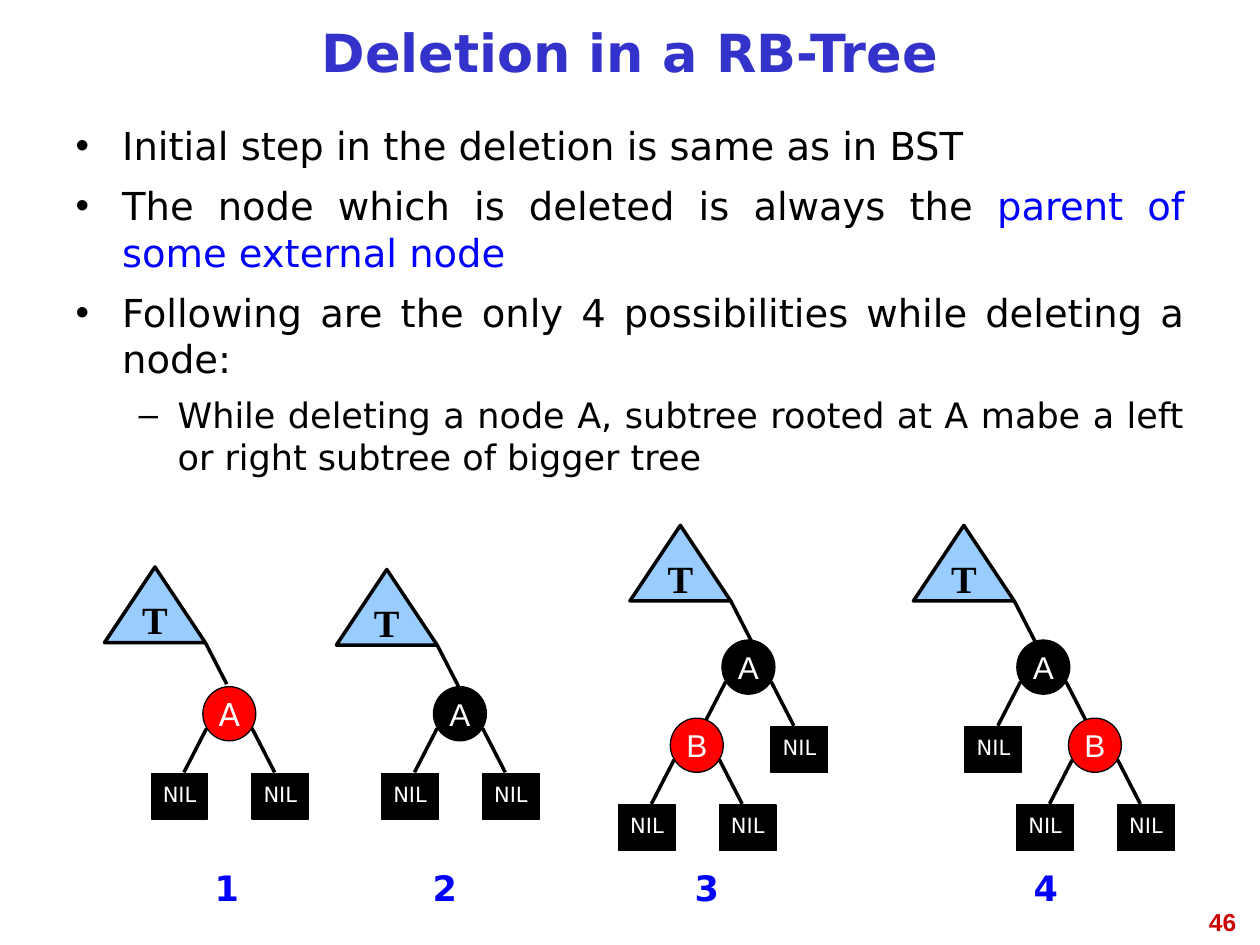
from lxml.etree import SubElement
from pptx import Presentation
from pptx.dml.color import RGBColor
from pptx.enum.shapes import MSO_CONNECTOR, MSO_SHAPE
from pptx.enum.text import MSO_ANCHOR, MSO_AUTO_SIZE, PP_ALIGN
from pptx.oxml.ns import qn
from pptx.util import Inches, Pt

SANS, BLACK, WHITE, RED, BLUE = "DejaVu Sans", "000000", "FFFFFF", "FF0000", "0000FF"
NODE_W, NODE_H = 0.42, 0.43
LEFT, RIGHT = -1, 1


def color(hex_code):
    """Turn a hex string into a colour."""
    return RGBColor.from_string(hex_code)


def add_run(paragraph, text, size, hex_code, face=SANS, bold=False):
    """Append one formatted run to a paragraph."""
    run = paragraph.add_run()
    run.text = text
    run.font.size = Pt(size)
    run.font.name = face
    run.font.bold = bold
    run.font.color.rgb = color(hex_code)


def place(holder, left, top, width, height):
    """Move and size a placeholder."""
    holder.left, holder.top = Inches(left), Inches(top)
    holder.width, holder.height = Inches(width), Inches(height)


def add_title(slide, text):
    """Fill the title placeholder."""
    title = slide.shapes.title
    place(title, 0.5, 0.08, 9, 0.75)
    title.text_frame.auto_size = MSO_AUTO_SIZE.NONE
    title.text_frame.vertical_anchor = MSO_ANCHOR.MIDDLE
    heading = title.text_frame.paragraphs[0]
    heading.alignment = PP_ALIGN.CENTER
    heading.line_spacing = 0.81
    add_run(heading, text, 30, "3333CC", bold=True)


def set_bullet(paragraph, char, margin, hanging):
    """Give a paragraph a black bullet and a hanging indent."""
    props = paragraph._p.get_or_add_pPr()
    props.set("marL", str(Inches(margin)))
    props.set("indent", str(-Inches(hanging)))
    bullet_color = SubElement(props, qn("a:buClr"))
    SubElement(bullet_color, qn("a:srgbClr")).set("val", BLACK)
    SubElement(props, qn("a:buChar")).set("char", char)


def add_points(slide, points):
    """Fill the body placeholder with (level, runs) points."""
    body = slide.placeholders[1]
    place(body, 0.5, 0.92, 9, 5.83)
    frame = body.text_frame
    frame.auto_size = MSO_AUTO_SIZE.NONE
    styles = [("•", 0.37, 0.37, 22, 8), ("–", 0.81, 0.31, 20, 7)]
    for index, (level, runs) in enumerate(points):
        char, margin, hanging, size, gap = styles[level]
        point = frame.add_paragraph() if index else frame.paragraphs[0]
        point.level = level
        point.alignment = PP_ALIGN.JUSTIFY
        point.space_before = Pt(gap if index else 0)
        set_bullet(point, char, margin, hanging)
        for text, hex_code in runs:
            add_run(point, text, size, hex_code)


def add_part(slide, kind, box, fill, label, size, face=SANS, ink=WHITE,
             weight=0.75, spacing=0.81, bold=False):
    """Draw one labelled tree part."""
    part = slide.shapes.add_shape(kind, *map(Inches, box))
    part.shadow.inherit = False
    part.fill.solid()
    part.fill.fore_color.rgb = color(fill)
    part.line.color.rgb = color(BLACK)
    part.line.width = Pt(weight)
    frame = part.text_frame
    frame.word_wrap = False
    frame.vertical_anchor = MSO_ANCHOR.MIDDLE
    caption = frame.paragraphs[0]
    caption.alignment = PP_ALIGN.CENTER
    caption.line_spacing = spacing
    add_run(caption, label, size, ink, face, bold)


def add_edge(slide, x, y, dx, dy):
    """Draw a tree edge from a point by an offset."""
    edge = slide.shapes.add_connector(
        MSO_CONNECTOR.STRAIGHT, *map(Inches, (x, y, x + dx, y + dy)))
    edge.line.color.rgb = color(BLACK)
    edge.line.width = Pt(2)
    SubElement(edge._element.spPr, qn("a:effectLst"))


def add_subtree(slide, x, y, label, fill, face="Arial", red_side=None):
    """Draw a node with two children: NIL leaves or a red node B."""
    add_part(slide, MSO_SHAPE.OVAL, (x, y, NODE_W, NODE_H), fill, label, 18,
             face, spacing=1)
    for side in (LEFT, RIGHT):
        add_edge(slide, x + NODE_W / 2 + side * 0.18, y + 0.33, side * 0.18, 0.35)
        if side == red_side:
            add_subtree(slide, x + side * 0.41, y + 0.62, "B", RED)
        else:
            leaf_x = x - 0.01 + side * 0.4
            add_part(slide, MSO_SHAPE.RECTANGLE, (leaf_x, y + 0.69, 0.45, 0.36),
                     BLACK, "NIL", 12)


def add_upper_tree(slide, x, y):
    """Draw the triangle T and the edge down to node A."""
    add_part(slide, MSO_SHAPE.ISOSCELES_TRIANGLE, (x, y, 0.8, 0.6), "99CCFF", "T",
             22, "Times New Roman", BLACK, weight=2, bold=True)
    add_edge(slide, x + 0.8, y + 0.6, 0.17, 0.33)


def add_label(slide, box, text, size, hex_code, face, alignment):
    """Add a bold one-line text box."""
    label = slide.shapes.add_textbox(*map(Inches, box))
    label.text_frame.word_wrap = True
    line = label.text_frame.paragraphs[0]
    line.alignment = alignment
    add_run(line, text, size, hex_code, face, True)


def main():
    """Build the slide and save it."""
    deck = Presentation()
    deck.slide_width, deck.slide_height = Inches(10), Inches(7.5)
    slide = deck.slides.add_slide(deck.slide_layouts[1])
    add_title(slide, "Deletion in a RB-Tree")
    add_points(slide, [
        (0, [("Initial step in the deletion is same as in BST", BLACK)]),
        (0, [("The node which is deleted is always the ", BLACK),
             ("parent of some external node", BLUE)]),
        (0, [("Following are the only 4 possibilities while deleting a node:", BLACK)]),
        (1, [("While deleting a node A, subtree rooted at A mabe a left or right "
              "subtree of bigger tree", BLACK)]),
    ])
    cases = [
        ((0.83, 4.5), (1.61, 5.45), RED, SANS, None, 1.42),
        ((2.67, 4.52), (3.44, 5.45), BLACK, "Arial", None, 3.15),
        ((5, 4.17), (5.73, 5.08), BLACK, "Arial", LEFT, 5.23),
        ((7.25, 4.17), (8.07, 5.08), BLACK, "Arial", RIGHT, 7.92),
    ]
    for number, (upper, node, fill, face, red_side, label_x) in enumerate(cases, 1):
        add_upper_tree(slide, *upper)
        add_subtree(slide, *node, "A", fill, face, red_side)
        add_label(slide, (label_x, 6.83, 0.76, 0.44), str(number), 20, BLUE, SANS,
                  PP_ALIGN.CENTER)
    add_label(slide, (7.58, 7.15, 2.33, 0.52), "46", 14, "CC0000", "Arial",
              PP_ALIGN.RIGHT)
    deck.save("out.pptx")


if __name__ == "__main__":
    main()
